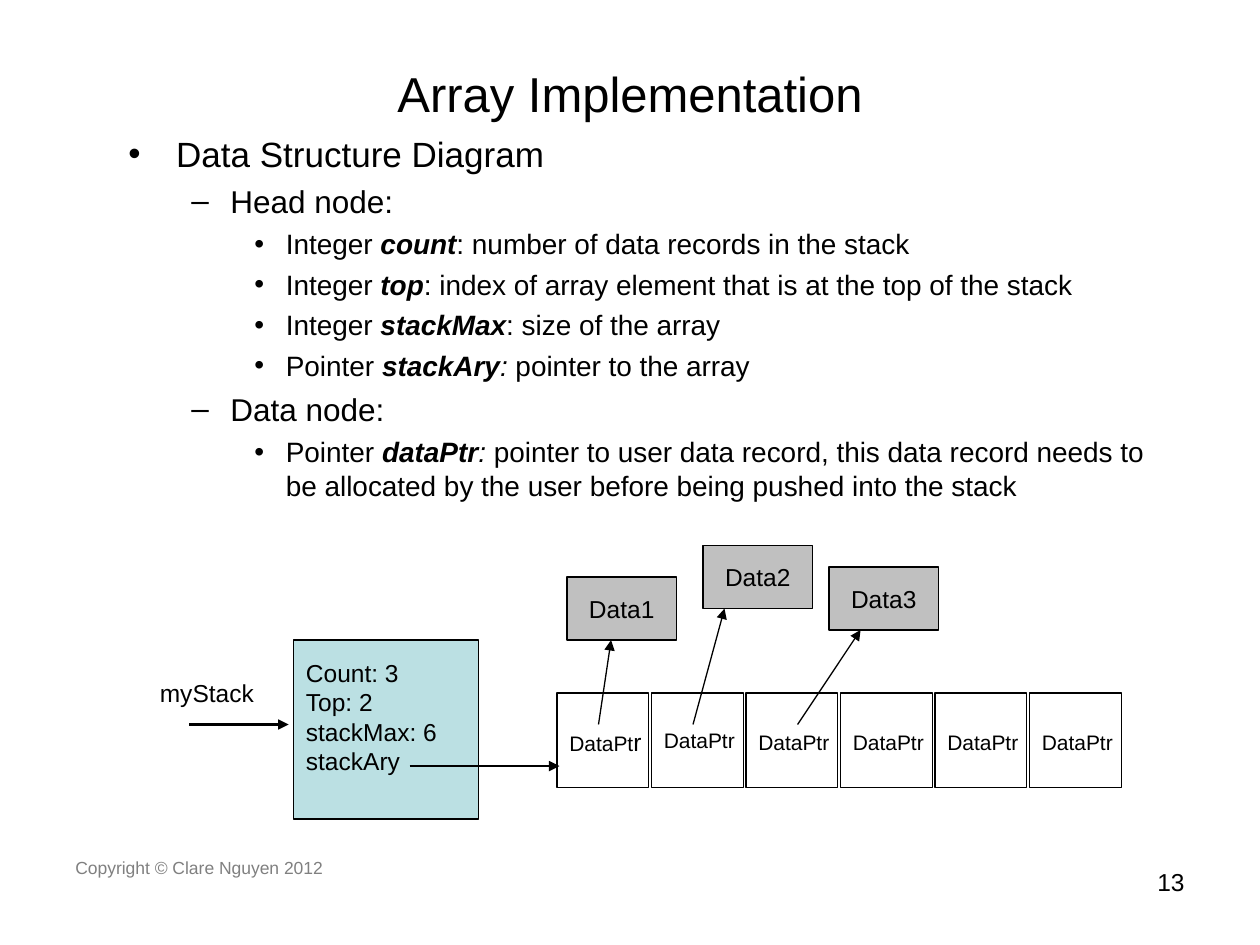
from lxml import etree
from pptx import Presentation, util as u
from pptx.dml.color import RGBColor
from pptx.enum import shapes, text
from pptx.oxml.ns import qn

THEME = {
    "font": "Arial",
    "ink": RGBColor.from_string("000000"),
    "muted": RGBColor.from_string("808080"),
    "head": RGBColor.from_string("BBE0E3"),
    "data": RGBColor.from_string("C0C0C0"),
    "title": 28,
    "levels": (20, 18, 16),
    "label": 14,
    "cell": 12,
    "footer": 10,
}
LEFT, CENTER, RIGHT = text.PP_ALIGN.LEFT, text.PP_ALIGN.CENTER, text.PP_ALIGN.RIGHT
TOP, MIDDLE = text.MSO_ANCHOR.TOP, text.MSO_ANCHOR.MIDDLE


def write(box, lines, size, align=LEFT, anchor=TOP, wrap=True, color=THEME["ink"], inset=0.05):
    frame = box.text_frame
    settings = {"word_wrap": wrap, "vertical_anchor": anchor, "margin_top": u.Inches(inset)}
    for name, value in settings.items():
        setattr(frame, name, value)
    for index, line in enumerate(lines):
        para = frame.paragraphs[0] if index == 0 else frame.add_paragraph()
        para.alignment = align
        span = para.add_run()
        span.text = line
        for name, value in {"name": THEME["font"], "size": u.Pt(size)}.items():
            setattr(span.font, name, value)
        span.font.color.rgb = color


def draw_box(left, top, width, height, fill=None):
    box = page.shapes.add_shape(
        shapes.MSO_SHAPE.RECTANGLE, *map(u.Inches, (left, top, width, height))
    )
    box.shadow.inherit = False
    if fill is None:
        box.fill.background()
    else:
        box.fill.solid()
        box.fill.fore_color.rgb = fill
    box.line.color.rgb = THEME["ink"]
    box.line.width = u.Pt(0.75)
    return box


deck = Presentation()
deck.slide_width, deck.slide_height = u.Inches(10), u.Inches(7.5)
page = deck.slides.add_slide(deck.slide_layouts[5])

title = page.shapes.title
place = {"left": 0.5, "top": 0.3, "width": 9, "height": 0.87}
for name, value in place.items():
    setattr(title, name, u.Inches(value))
write(title, ["Array Implementation"], THEME["title"], CENTER, MIDDLE)

labels = [
    ((0.5, 6.75, 3.17, 0.52), "Copyright © Clare Nguyen 2012", THEME["footer"], LEFT, THEME["muted"]),
    ((7.17, 6.83, 2.33, 0.52), "13", THEME["label"], RIGHT, THEME["ink"]),
    ((1.17, 5.33, 1.11, 0.34), "myStack", THEME["label"], LEFT, THEME["ink"]),
]
for area, words, size, align, color in labels:
    box = page.shapes.add_textbox(*map(u.Inches, area))
    write(box, [words], size, align, color=color)

outline = [
    (0, "Data Structure Diagram"),
    (1, "Head node:"),
    (2, "Integer ", "count", "", ": number of data records in the stack"),
    (2, "Integer ", "top", "", ": index of array element that is at the top of the stack"),
    (2, "Integer ", "stackMax", "", ": size of the array"),
    (2, "Pointer ", "stackAry", ":", " pointer to the array"),
    (1, "Data node:"),
    (2, "Pointer ", "dataPtr", ": ", "pointer to user data record, this data record needs to be "
     "allocated by the user before being pushed into the stack"),
]
bullets = [("•", 0.38, 0.38, 5), ("–", 0.81, 0.31, 4.5), ("•", 1.25, 0.25, 4)]
styles = [(False, False), (True, True), (False, True), (False, False)]
body = page.shapes.add_textbox(*map(u.Inches, (0.92, 1, 8.33, 5.67)))
body.text_frame.word_wrap = True
for index, (level, *parts) in enumerate(outline):
    para = body.text_frame.paragraphs[0] if index == 0 else body.text_frame.add_paragraph()
    mark, indent, hang, gap = bullets[level]
    props = para._p.get_or_add_pPr()
    props.set("marL", str(u.Inches(indent)))
    props.set("indent", str(-u.Inches(hang)))
    etree.SubElement(props, qn("a:buFont")).set("typeface", THEME["font"])
    etree.SubElement(props, qn("a:buChar")).set("char", mark)
    para.level = level
    if index:
        para.space_before = u.Pt(gap)
    for words, (bold, italic) in zip(parts, styles):
        if not words:
            continue
        span = para.add_run()
        span.text = words
        look = {"name": THEME["font"], "size": u.Pt(THEME["levels"][level]),
                "bold": bold, "italic": italic}
        for name, value in look.items():
            setattr(span.font, name, value)
        span.font.color.rgb = THEME["ink"]

head_node = draw_box(2.33, 5.08, 1.47, 1.42, THEME["head"])
head_lines = ["Count: 3", "Top: 2", "stackMax: 6", "stackAry"]
write(head_node, head_lines, THEME["label"], wrap=False, inset=0.14)

for number, (left, top) in enumerate([(4.5, 4.58), (5.58, 4.33), (6.58, 4.5)], 1):
    record = draw_box(left, top, 0.87, 0.5, THEME["data"])
    write(record, [f"Data{number}"], THEME["label"], CENTER, MIDDLE, wrap=False)

for column in range(6):
    cell = draw_box(4.42 + 0.75 * column, 5.5, 0.73, 0.75)
    inset = 0.05 if column == 1 else 0.08
    write(cell, ["DataPtr"], THEME["cell"], anchor=MIDDLE, wrap=False, inset=inset)
    if column == 0:
        para = cell.text_frame.paragraphs[0]
        para.runs[0].text = "DataPt"
        span = para.add_run()
        span.text = "r"
        for name, value in {"name": THEME["font"], "size": u.Pt(THEME["label"])}.items():
            setattr(span.font, name, value)
        span.font.color.rgb = THEME["ink"]

arrows = [
    (1.5, 5.75, 2.29, 5.75, 1.5),
    (3.25, 6.08, 4.44, 6.08, 0.75),
    (4.75, 5.75, 4.85, 5.08, 0.75),
    (5.5, 5.75, 5.75, 4.83, 0.75),
    (6.33, 5.75, 6.83, 5, 0.75),
]
for *ends, weight in arrows:
    arrow = page.shapes.add_connector(shapes.MSO_CONNECTOR.STRAIGHT, *map(u.Inches, ends))
    arrow.line.color.rgb = THEME["ink"]
    arrow.line.width = u.Pt(weight)
    etree.SubElement(arrow.line._get_or_add_ln(), qn("a:tailEnd")).set("type", "triangle")
    etree.SubElement(arrow._element.spPr, qn("a:effectLst"))

deck.save("out.pptx")
